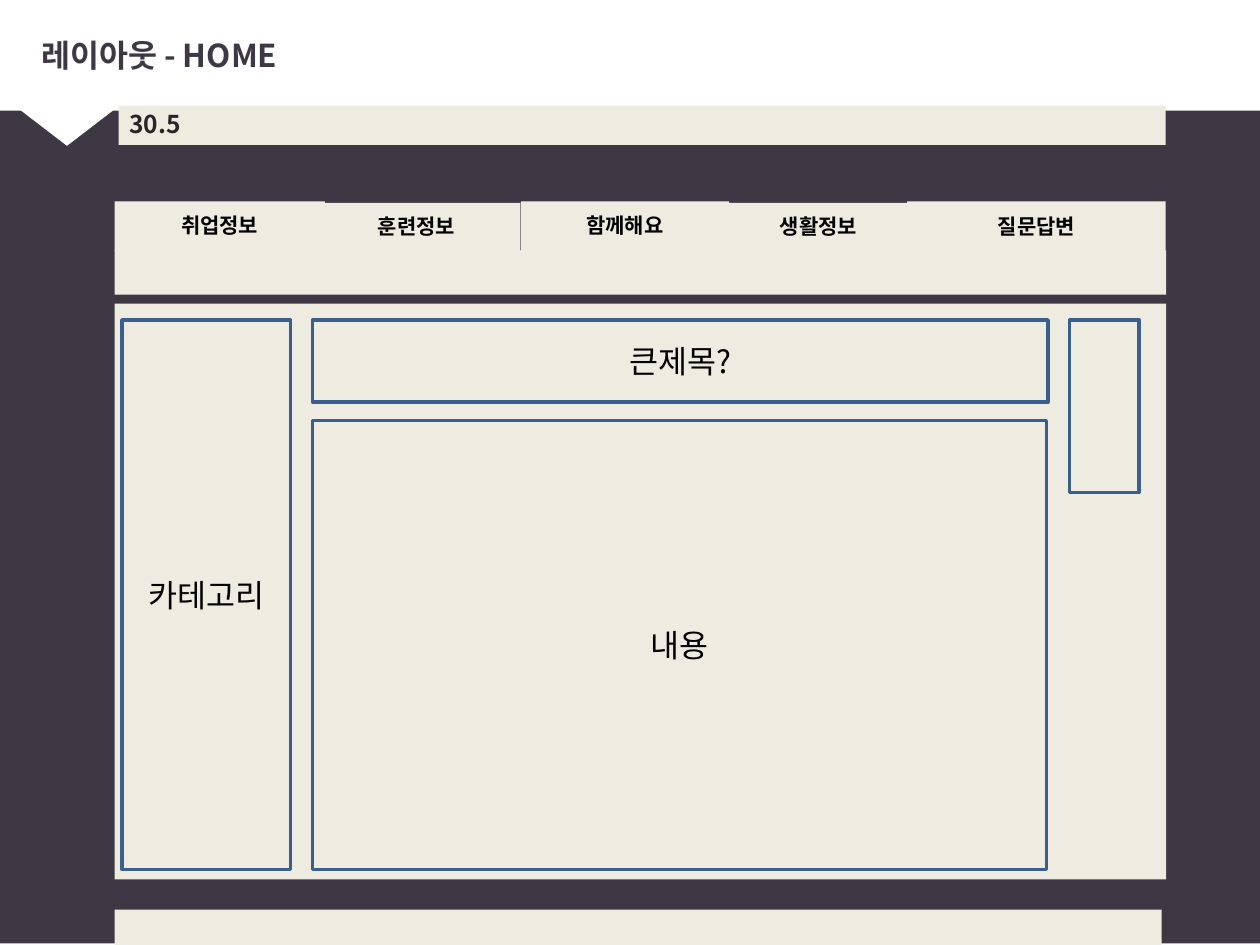
import dataclasses

import pptx
import pptx.dml.color
import pptx.enum.shapes
import pptx.enum.text
import pptx.oxml
import pptx.oxml.ns
import pptx.util
from pptx.util import Cm

FONT = "Noto Sans CJK KR"
DARK, WHITE, CREAM, BLUE = "3D3844", "FFFFFF", "EEECE1", "3A5F8C"
BLACK, CHARCOAL = "000000", "262626"
SHAPES = pptx.enum.shapes.MSO_SHAPE
ALIGN = pptx.enum.text.PP_ALIGN


@dataclasses.dataclass
class Box:
    """A rectangle in centimetres, with an optional label."""
    left: float
    top: float
    width: float
    height: float
    label: str = ""


def color(value: str) -> pptx.dml.color.RGBColor:
    return pptx.dml.color.RGBColor.from_string(value)


def write(shape, text: str, *, size: float = 18, ink: str = BLACK,
          bold: bool = False, align=ALIGN.CENTER, spacing: float = 1.0,
          inset: float = 0.25, left_inset: float | None = None) -> None:
    frame = shape.text_frame
    frame.word_wrap = True
    frame.vertical_anchor = pptx.enum.text.MSO_ANCHOR.MIDDLE
    frame.margin_left = Cm(inset if left_inset is None else left_inset)
    frame.margin_right = Cm(inset)
    frame.margin_top = frame.margin_bottom = Cm(min(inset, 0.13))
    paragraph = frame.paragraphs[0]
    paragraph.alignment = align
    paragraph.line_spacing = spacing
    run = paragraph.add_run()
    run.text = text
    run.font.name = FONT
    run.font.size = pptx.util.Pt(size)
    run.font.bold = bold
    run.font.color.rgb = color(ink)
    # Hangul takes its face from the East Asian font
    east_asian = pptx.oxml.parse_xml(
        f'<a:ea {pptx.oxml.ns.nsdecls("a")} typeface="{FONT}"/>')
    run.font._element.find(pptx.oxml.ns.qn("a:latin")).addnext(east_asian)


def draw(slide, box: Box, *, fill: str | None = None,
         outline: str | None = None, kind=SHAPES.RECTANGLE):
    shape = slide.shapes.add_shape(
        kind, Cm(box.left), Cm(box.top), Cm(box.width), Cm(box.height))
    shape.shadow.inherit = False
    if fill:
        shape.fill.solid()
        shape.fill.fore_color.rgb = color(fill)
    else:
        shape.fill.background()
    if outline:
        shape.line.color.rgb = color(outline)
        shape.line.width = pptx.util.Pt(2)
    else:
        shape.line.fill.background()
    return shape


MENU = [
    Box(2.31, 4.06, 4.24, 1.0, "취업정보"),
    Box(6.3, 4.09, 4.19, 1.0, "훈련정보"),
    Box(10.5, 4.06, 4.2, 1.0, "함께해요"),
    Box(14.1, 4.09, 4.8, 1.0, "생활정보"),
    Box(18.29, 4.06, 5.21, 1.05, "질문답변"),
]
AREAS = [
    Box(2.46, 6.45, 3.4, 11.08, "카테고리"),
    Box(6.3, 6.45, 14.83, 1.66, "큰제목?"),
    Box(6.3, 8.48, 14.8, 9.05, "내용"),
    Box(21.56, 6.45, 1.4, 3.48),
]


def main() -> None:
    deck = pptx.Presentation()
    deck.slide_width, deck.slide_height = Cm(25.4), Cm(19.05)
    slide = deck.slides.add_slide(deck.slide_layouts[6])

    # Backdrop: dark page, white header and its pointer
    draw(slide, Box(0, -0.03, 25.76, 19.05), fill=DARK)
    draw(slide, Box(-0.08, -0.05, 25.83, 2.28), fill=WHITE)
    pointer = draw(slide, Box(-0.5, 1.52, 3.7, 1.42), fill=WHITE,
                   kind=SHAPES.ISOSCELES_TRIANGLE)
    pointer.rotation = 180

    # Page title
    title = slide.shapes.add_textbox(Cm(0.58), Cm(0.33), Cm(24.54), Cm(1.57))
    write(title, "레이아웃 - HOME", ink=DARK, bold=True, align=ALIGN.LEFT)

    # Top strip and content panel
    top_strip = draw(slide, Box(2.39, 2.13, 21.11, 0.79), fill=CREAM)
    write(top_strip, "30.5", size=14, ink=CHARCOAL, bold=True,
          align=ALIGN.LEFT, spacing=0.9, inset=0.03, left_inset=0.22)
    draw(slide, Box(2.31, 6.12, 21.2, 11.61), fill=CREAM)

    # Menu
    for item in MENU:
        tab = draw(slide, item, fill=CREAM)
        write(tab, item.label, size=12, bold=True, spacing=0.9, inset=0.03)

    # Outlined content areas
    for area in AREAS:
        frame = draw(slide, area, outline=BLUE)
        if area.label:
            write(frame, area.label)

    # Submenu strip and footer
    draw(slide, Box(2.31, 5.05, 21.2, 0.89), fill=CREAM)
    draw(slide, Box(2.31, 18.34, 21.11, 0.79), fill=CREAM)

    deck.save("out.pptx")


if __name__ == "__main__":
    main()
